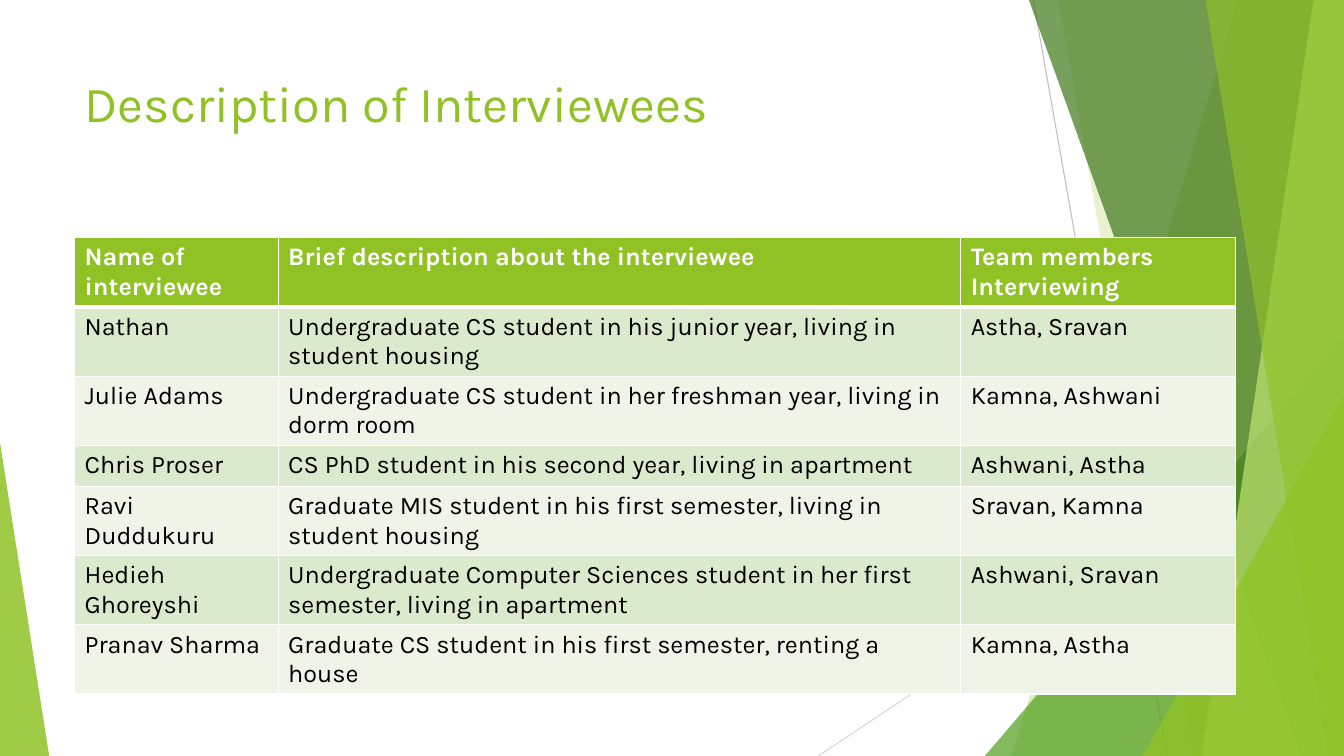
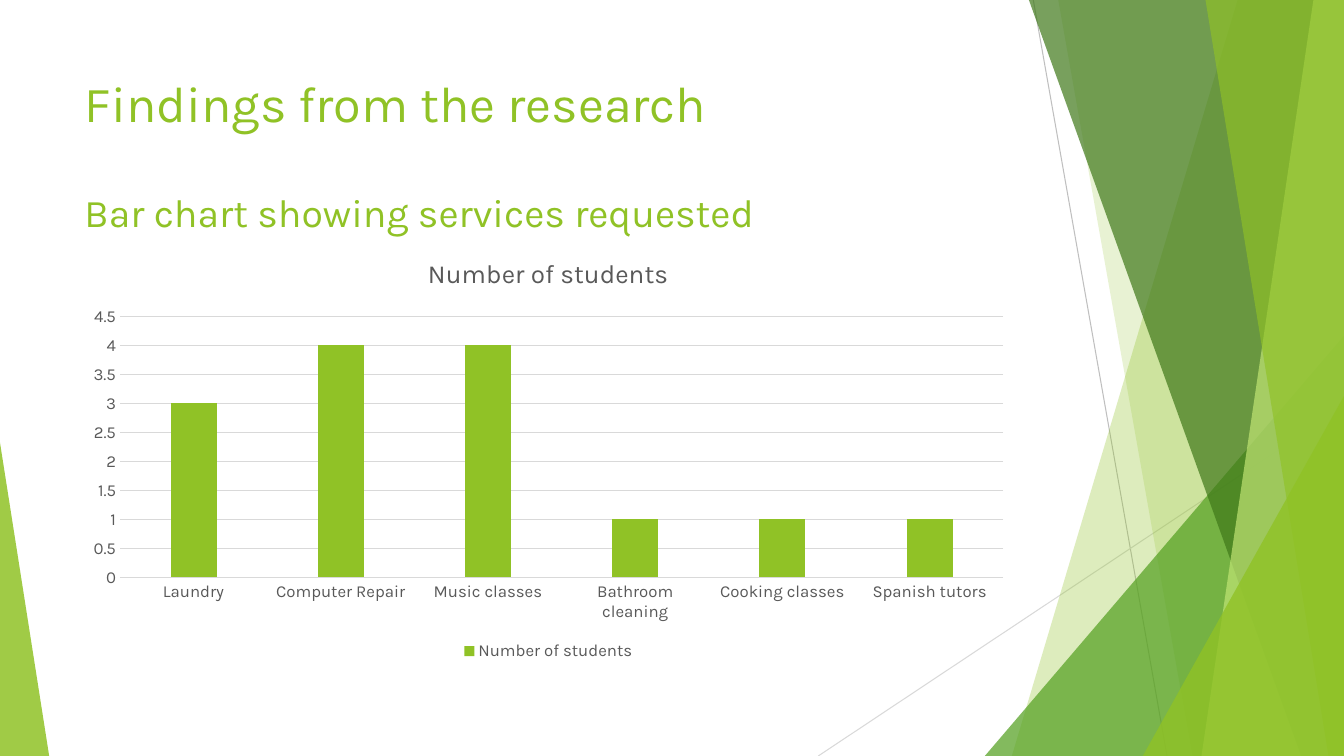
from lxml import etree
from pptx import Presentation
from pptx.chart.data import CategoryChartData
from pptx.dml.color import RGBColor
from pptx.enum.chart import XL_CHART_TYPE, XL_LEGEND_POSITION, XL_TICK_MARK
from pptx.enum.shapes import MSO_CONNECTOR, MSO_SHAPE, PP_PLACEHOLDER
from pptx.enum.text import MSO_ANCHOR, MSO_AUTO_SIZE, PP_ALIGN
from pptx.oxml.ns import qn
from pptx.util import Cm, Pt

COLUMN = XL_CHART_TYPE.COLUMN_CLUSTERED
LEGEND_BOTTOM = XL_LEGEND_POSITION.BOTTOM
NO_TICK = XL_TICK_MARK.NONE
STRAIGHT = MSO_CONNECTOR.STRAIGHT
TRIANGLE = MSO_SHAPE.ISOSCELES_TRIANGLE
TITLE = PP_PLACEHOLDER.TITLE
TOP = MSO_ANCHOR.TOP
NO_AUTOFIT = MSO_AUTO_SIZE.NONE
LEFT = PP_ALIGN.LEFT

# Shared look, lengths in centimetres
SLIDE_W, SLIDE_H = 33.87, 19.05
MARGIN, TEXT_W, BODY_TOP = 1.88, 23.88, 5.99
FONT = "Karla"
GREEN, MID_GREEN, DARK_GREEN, PALE_GREEN = "90C226", "54A021", "3F7819", "C0E474"
BAND_DARK, BAND_LIGHT = "DBE9CD", "EEF4E8"
WHITE, BLACK, GREY, GRID = "FFFFFF", "000000", "595959", "D9D9D9"

TITLE_FONT = {"size": Pt(36), "color": GREEN}
SUBTITLE_FONT = {"size": Pt(28), "color": GREEN}
HEADER_FONT = {"size": Pt(18), "color": WHITE, "bold": True}
CELL_FONT = {"size": Pt(18), "color": BLACK, "bold": False}
CHART_FONT = {"size": Pt(12), "color": GREY}
CHART_TITLE_FONT = {"size": Pt(18.6), "color": GREY, "bold": False}

# Side art: lines are x1, y1, x2, y2, colour
LINES = [(26.04, 0, 29.41, SLIDE_H, "BFBFBF"),
         (SLIDE_W, 10.24, 20.62, SLIDE_H, GRID)]
# Panels run to the right edge: x at top, x at bottom, colour, opacity
# Triangles stand on the bottom edge: left, top, width, apex, colour, opacity
FACETS = [
    (31.19, 25.5, GREEN, 30),
    (26.67, 30.05, GREEN, 20),
    (24.82, 8.46, 9.05, 1, MID_GREEN, 72),
    (25.93, 32.79, DARK_GREEN, 70),
    (33.1, 30.28, PALE_GREEN, 70),
    (30.38, 33.48, GREEN, 65),
    (28.8, 9.98, 5.07, 1, GREEN, 80),
    (0, 11.15, 1.24, 0, GREEN, 85),
]

INTERVIEWEES = [
    ("Name of interviewee", "Brief description about the interviewee",
     "Team members\nInterviewing"),
    ("Nathan", "Undergraduate CS student in his junior year, living in student housing",
     "Astha, Sravan"),
    ("Julie Adams", "Undergraduate CS student in her freshman year, living in dorm room",
     "Kamna, Ashwani"),
    ("Chris Proser", "CS PhD student in his second year, living in apartment",
     "Ashwani, Astha"),
    ("Ravi Duddukuru", "Graduate MIS student in his first semester, living in student housing",
     "Sravan, Kamna"),
    ("Hedieh Ghoreyshi",
     "Undergraduate Computer Sciences student in her first semester, living in apartment",
     "Ashwani, Sravan"),
    ("Pranav Sharma", "Graduate CS student in his first semester, renting a house",
     "Kamna, Astha"),
]
SERVICES = {"Laundry": 3, "Computer Repair": 4, "Music classes": 4,
            "Bathroom cleaning": 1, "Cooking classes": 1, "Spanish tutors": 1}


# Formatting helpers
def rgb(value):
    return RGBColor.from_string(value)


def set_attrs(obj, values):
    for name, value in values.items():
        setattr(obj, name, value)


def set_font(font, values):
    set_attrs(font, {"name": FONT} | {k: v for k, v in values.items() if k != "color"})
    font.color.rgb = rgb(values["color"])


def set_text(tf, text, font):
    tf.text = text
    for p in tf.paragraphs:
        p.alignment = LEFT
        for r in p.runs:
            set_font(r.font, font)


def set_line(line, color, width=0.75):
    line.color.rgb = rgb(color)
    line.width = Pt(width)


def set_border(cell, sides):
    """Add cell borders; sides maps L, R, T, B (in this order) to points."""
    tc_pr = cell._tc.get_or_add_tcPr()
    for i, (side, width) in enumerate(sides.items()):
        ln = etree.Element(qn(f"a:ln{side}"), w=str(Pt(width)))
        fill = etree.SubElement(ln, qn("a:solidFill"))
        etree.SubElement(fill, qn("a:srgbClr"), val=WHITE)
        tc_pr.insert(i, ln)


# Side art
def add_line(slide, x1, y1, x2, y2, color):
    line = slide.shapes.add_connector(STRAIGHT, Cm(x1), Cm(y1), Cm(x2), Cm(y2))
    set_line(line.line, color)
    etree.SubElement(line.element.spPr, qn("a:effectLst"))
    return line


def paint(sp, color, opacity):
    sp.shadow.inherit = False
    sp.line.fill.background()
    sp.fill.solid()
    sp.fill.fore_color.rgb = rgb(color)
    clr = sp.element.spPr.find(qn("a:solidFill"))[0]
    etree.SubElement(clr, qn("a:alpha"), val=str(opacity * 1000))
    return sp


def add_panel(slide, x_top, x_bottom, color, opacity):
    points = [(x_top, 0), (SLIDE_W, 0), (SLIDE_W, SLIDE_H), (x_bottom, SLIDE_H)]
    points = [(Cm(x), Cm(y)) for x, y in points]
    outline = slide.shapes.build_freeform(*points[0])
    outline.add_line_segments(points[1:], close=True)
    return paint(outline.convert_to_shape(), color, opacity)


def add_triangle(slide, left, top, width, apex, color, opacity):
    sp = slide.shapes.add_shape(TRIANGLE, Cm(left), Cm(top), Cm(width), Cm(SLIDE_H - top))
    sp.adjustments[0] = apex
    return paint(sp, color, opacity)


def move_art_to_layout(slide, layout):
    """Draw the side art and keep it in the layout, behind every slide."""
    for ph in list(layout.placeholders):
        if ph.placeholder_format.type != TITLE:
            ph.element.getparent().remove(ph.element)
    art = [add_line(slide, *line) for line in LINES]
    for facet in FACETS:
        add = add_panel if len(facet) == 4 else add_triangle
        art.append(add(slide, *facet))
    for sp in art:
        layout.shapes.element.append(sp.element)


# Slide content
def add_titled_slide(prs, layout, title):
    slide = prs.slides.add_slide(layout)
    sp = slide.shapes.title
    set_attrs(sp, {"left": Cm(MARGIN), "top": Cm(1.7),
                   "width": Cm(TEXT_W), "height": Cm(3.66)})
    set_attrs(sp.text_frame, {"vertical_anchor": TOP, "auto_size": NO_AUTOFIT})
    set_text(sp.text_frame, title, TITLE_FONT)
    return slide


def add_subtitle(slide, text):
    sp = slide.shapes.add_textbox(Cm(MARGIN), Cm(4.62), Cm(TEXT_W), Cm(1.47))
    sp.text_frame.word_wrap = True
    set_text(sp.text_frame, text, SUBTITLE_FONT)


def add_table(slide, rows, widths, row_h):
    table = slide.shapes.add_table(len(rows), len(widths), Cm(MARGIN), Cm(BODY_TOP),
                                   Cm(sum(widths)), Cm(row_h * len(rows))).table
    for col, width in zip(table.columns, widths):
        col.width = Cm(width)
    for i, row in enumerate(rows):
        table.rows[i].height = Cm(row_h)
        color = GREEN if i == 0 else BAND_DARK if i % 2 else BAND_LIGHT
        borders = {"L": 1, "R": 1, "T": 3 if i == 1 else 1, "B": 3 if i == 0 else 1}
        for j, text in enumerate(row):
            cell = table.cell(i, j)
            cell.fill.solid()
            cell.fill.fore_color.rgb = rgb(color)
            set_border(cell, borders)
            set_text(cell.text_frame, text, CELL_FONT if i else HEADER_FONT)


def add_column_chart(slide, name, values):
    data = CategoryChartData()
    data.categories = list(values)
    data.add_series(name, list(values.values()))
    chart = slide.shapes.add_chart(COLUMN, Cm(MARGIN), Cm(BODY_TOP),
                                   Cm(TEXT_W), Cm(10.77), data).chart
    set_font(chart.font, CHART_FONT)
    set_text(chart.chart_title.text_frame, name, CHART_TITLE_FONT)

    chart.has_legend = True
    set_attrs(chart.legend, {"position": LEGEND_BOTTOM, "include_in_layout": False})
    set_font(chart.legend.font, CHART_FONT)

    plot = chart.plots[0]
    set_attrs(plot, {"gap_width": 219, "overlap": -27, "vary_by_categories": False})
    fill = plot.series[0].format.fill
    fill.solid()
    fill.fore_color.rgb = rgb(GREEN)

    for axis in (chart.category_axis, chart.value_axis):
        set_attrs(axis, {"major_tick_mark": NO_TICK, "minor_tick_mark": NO_TICK})
        set_font(axis.tick_labels.font, CHART_FONT)
    set_line(chart.category_axis.format.line, GRID)
    value_axis = chart.value_axis
    set_attrs(value_axis, {"minimum_scale": 0, "maximum_scale": 4.5, "major_unit": 0.5})
    value_axis.format.line.fill.background()
    set_line(value_axis.major_gridlines.format.line, GRID)


def main():
    prs = Presentation()
    set_attrs(prs, {"slide_width": Cm(SLIDE_W), "slide_height": Cm(SLIDE_H)})
    layout = prs.slide_layouts[5]

    # Interviewees
    slide = add_titled_slide(prs, layout, "Description of Interviewees")
    move_art_to_layout(slide, layout)
    add_table(slide, INTERVIEWEES, widths=(5.13, 17.2, 6.93), row_h=1.03)

    # Findings
    slide = add_titled_slide(prs, layout, "Findings from the research")
    add_column_chart(slide, "Number of students", SERVICES)
    add_subtitle(slide, "Bar chart showing services requested")

    prs.save("out.pptx")


if __name__ == "__main__":
    main()
